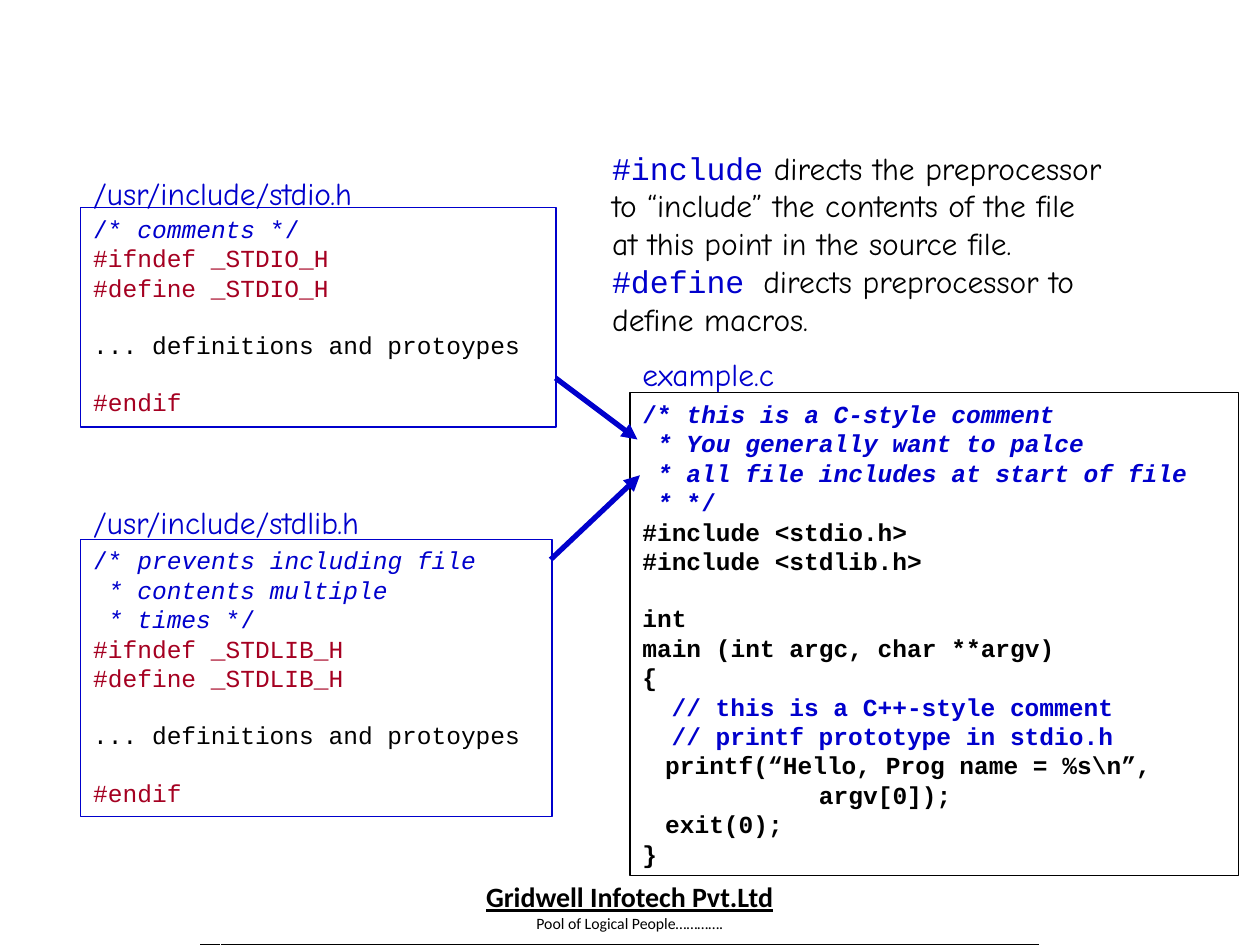
import pptx
import pptx.dml.color
import pptx.enum.shapes
import pptx.enum.text
import pptx.oxml
import pptx.oxml.ns
import pptx.util
from lxml import etree
from pptx.util import Cm

BLUE, RED, BLACK = "0000CC", "A50021", "000000"
MONO, HAND, PLAIN = "Courier New", "Comic Neue", "Calibri"
BLANK_LINE = 15.9


def paint(code):
    return pptx.dml.color.RGBColor.from_string(code)


def line(*parts, left=0, gap=0):
    return parts, left, gap


class Page:
    styles = {
        "note": (MONO, 14, BLUE, {}),
        "slant": (MONO, 14, BLUE, {"italic": True}),
        "macro": (MONO, 14, RED, {}),
        "code": (MONO, 14, BLACK, {}),
        "bold note": (MONO, 14, BLUE, {"bold": True}),
        "bold slant": (MONO, 14, BLUE, {"bold": True, "italic": True}),
        "bold code": (MONO, 14, BLACK, {"bold": True}),
        "label": (HAND, 18, BLUE, {}),
        "prose": (HAND, 18, BLACK, {}),
        "term": (MONO, 18, BLUE, {}),
        "firm": (PLAIN, 16, BLACK, {"bold": True, "underline": True}),
        "motto": (PLAIN, 9, BLACK, {"bold": False, "underline": False}),
    }

    def __init__(self, deck):
        self.slide = deck.slides.add_slide(deck.slide_layouts[6])
        self.shapes = self.slide.shapes

    def fill_in(self, frame, lines, align=pptx.enum.text.PP_ALIGN.LEFT):
        frame.word_wrap = True
        for row, (parts, left, gap) in enumerate(lines):
            para = frame.add_paragraph() if row else frame.paragraphs[0]
            para.alignment = align
            if gap:
                para.space_before = pptx.util.Pt(gap)
            if left:
                para._p.get_or_add_pPr().set("marL", str(int(Cm(left))))
            for text, style in parts:
                run = para.add_run()
                run.text = text
                name, size, color, flags = self.styles[style]
                font = run.font
                font.name = name
                font.size = pptx.util.Pt(size)
                font.color.rgb = paint(color)
                font.bold = flags.get("bold")
                font.italic = flags.get("italic")
                font.underline = flags.get("underline")

    def text(self, left, top, width, height, lines):
        box = self.shapes.add_textbox(Cm(left), Cm(top), Cm(width), Cm(height))
        self.fill_in(box.text_frame, lines)

    def frame(self, left, top, width, height, color, lines):
        kind = pptx.enum.shapes.MSO_SHAPE.RECTANGLE
        box = self.shapes.add_shape(kind, Cm(left), Cm(top), Cm(width), Cm(height))
        box.shadow.inherit = False
        box.fill.background()
        box.line.color.rgb = paint(color)
        box.line.width = pptx.util.Pt(0.75)
        box.text_frame.vertical_anchor = pptx.enum.text.MSO_ANCHOR.TOP
        self.fill_in(box.text_frame, lines)

    def arrow(self, *ends):
        kind = pptx.enum.shapes.MSO_CONNECTOR.STRAIGHT
        link = self.shapes.add_connector(kind, *map(Cm, ends))
        link.line.color.rgb = paint(BLUE)
        link.line.width = pptx.util.Pt(3)
        tip = etree.SubElement(link.line._get_or_add_ln(), pptx.oxml.ns.qn("a:tailEnd"))
        tip.set("type", "triangle")
        etree.SubElement(link._element.spPr, pptx.oxml.ns.qn("a:effectLst"))

    def footer(self, left, top, widths, height, lines):
        table = self.shapes.add_table(
            1, len(widths), Cm(left), Cm(top), Cm(sum(widths)), Cm(height)).table
        table.first_row = table.horz_banding = False
        table.rows[0].height = Cm(height)
        for spot, width in enumerate(widths):
            table.columns[spot].width = Cm(width)
            cell = table.cell(0, spot)
            cell.margin_left = cell.margin_right = Cm(0.15)
            cell.margin_top = cell.margin_bottom = 0
            edge = pptx.oxml.parse_xml(
                '<a:lnB %s w="12700"><a:solidFill><a:srgbClr val="%s"/></a:solidFill></a:lnB>'
                % (pptx.oxml.ns.nsdecls("a"), BLACK))
            cell._tc.get_or_add_tcPr().append(edge)
            cell.fill.background()
        self.fill_in(cell.text_frame, lines, pptx.enum.text.PP_ALIGN.CENTER)


def guard(name):
    return [
        line((f"#ifndef {name}", "macro")),
        line((f"#define {name}", "macro")),
        line(("... definitions and protoypes", "code"), gap=BLANK_LINE),
        line(("#endif", "macro"), gap=BLANK_LINE),
    ]


deck = pptx.Presentation()
deck.slide_width, deck.slide_height = Cm(25.4), Cm(19.05)
page = Page(deck)

page.footer(4.01, 17.75, (0.43, 16.51), 1.3, [
    line(("Gridwell Infotech Pvt.Ltd", "firm")),
    line(("Pool of Logical People………….", "motto")),
])

for left, top, width, label in (
    (12.7, 7.04, 3.4, "example.c"),
    (1.63, 3.38, 8.81, "/usr/include/stdio.h"),
    (1.63, 10.01, 7.8, "/usr/include/stdlib.h"),
):
    page.text(left, top, width, 1.02, [line((label, "label"))])

page.frame(12.7, 7.92, 12.27, 9.73, BLACK, [
    line(("/* ", "bold note"), ("this is a C-style comment", "bold slant")),
    line((" * You generally want to palce", "bold slant")),
    line((" * all file includes at start of file", "bold slant")),
    line((" * ", "bold slant"), ("*/", "bold note")),
    line(("#include <stdio.h>", "bold code")),
    line(("#include <stdlib.h>", "bold code")),
    line(("int", "bold code"), gap=BLANK_LINE),
    line(("main (int argc, char **argv)", "bold code")),
    line(("{", "bold code")),
    line(("// this is a C++-style comment", "bold note"), left=0.59),
    line(("// printf prototype in stdio.h", "bold note"), left=0.59),
    line(("printf(“Hello, Prog name = %s\\n”,", "bold code"), left=0.46),
    line(("argv[0]);", "bold code"), left=3.56),
    line(("exit(0);", "bold code"), left=0.46),
    line(("}", "bold code")),
])

page.frame(1.63, 4.19, 9.58, 4.42, BLUE, [
    line(("/* ", "note"), ("comments", "slant"), (" */", "note")),
    *guard("_STDIO_H"),
])

page.frame(1.63, 10.87, 9.5, 5.59, BLUE, [
    line(("/* ", "note"), ("prevents including file", "slant")),
    line((" * contents multiple", "slant")),
    line((" * times", "slant"), (" */", "note")),
    *guard("_STDLIB_H"),
])

page.arrow(11.2, 7.62, 12.85, 8.86)
page.arrow(11.1, 11.28, 12.9, 9.58)

page.text(12.09, 2.87, 11.48, 4.06, [
    line(("#include", "term"), (" directs the preprocessor", "prose")),
    line(("to “include” the contents of the file", "prose")),
    line(("at this point in the source file.", "prose")),
    line(("#define ", "term"), ("directs preprocessor to define macros.", "prose")),
])

deck.save("out.pptx")
